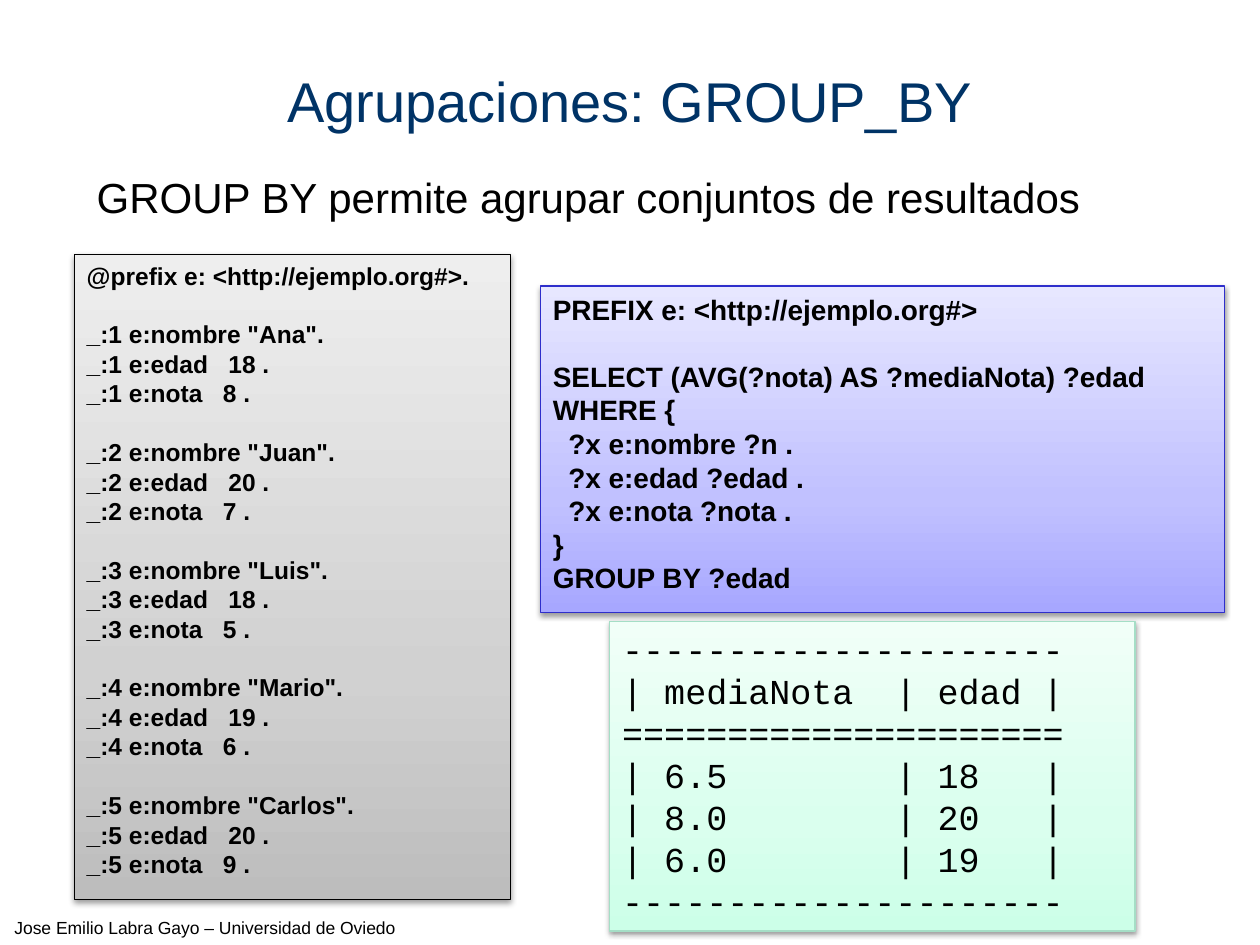
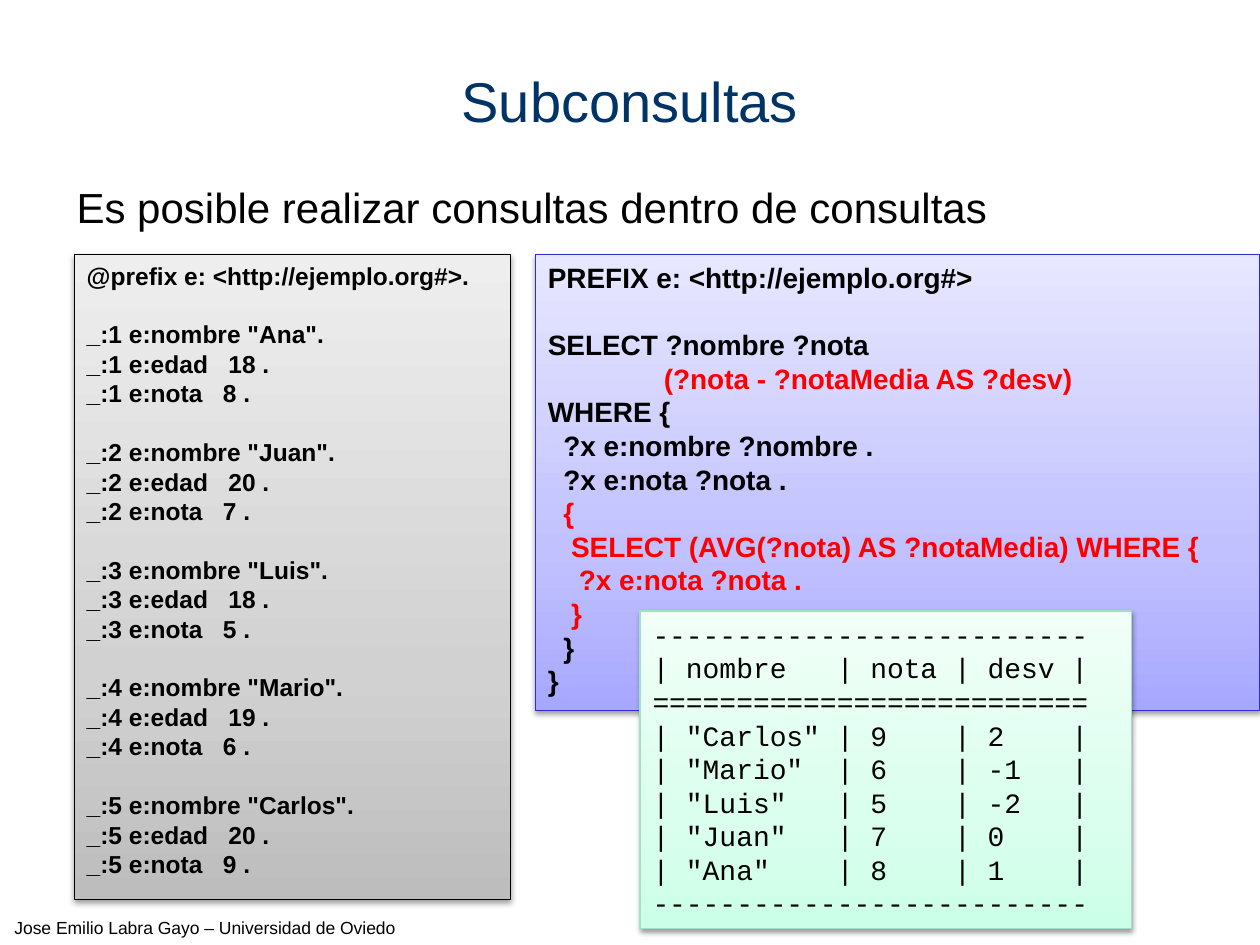
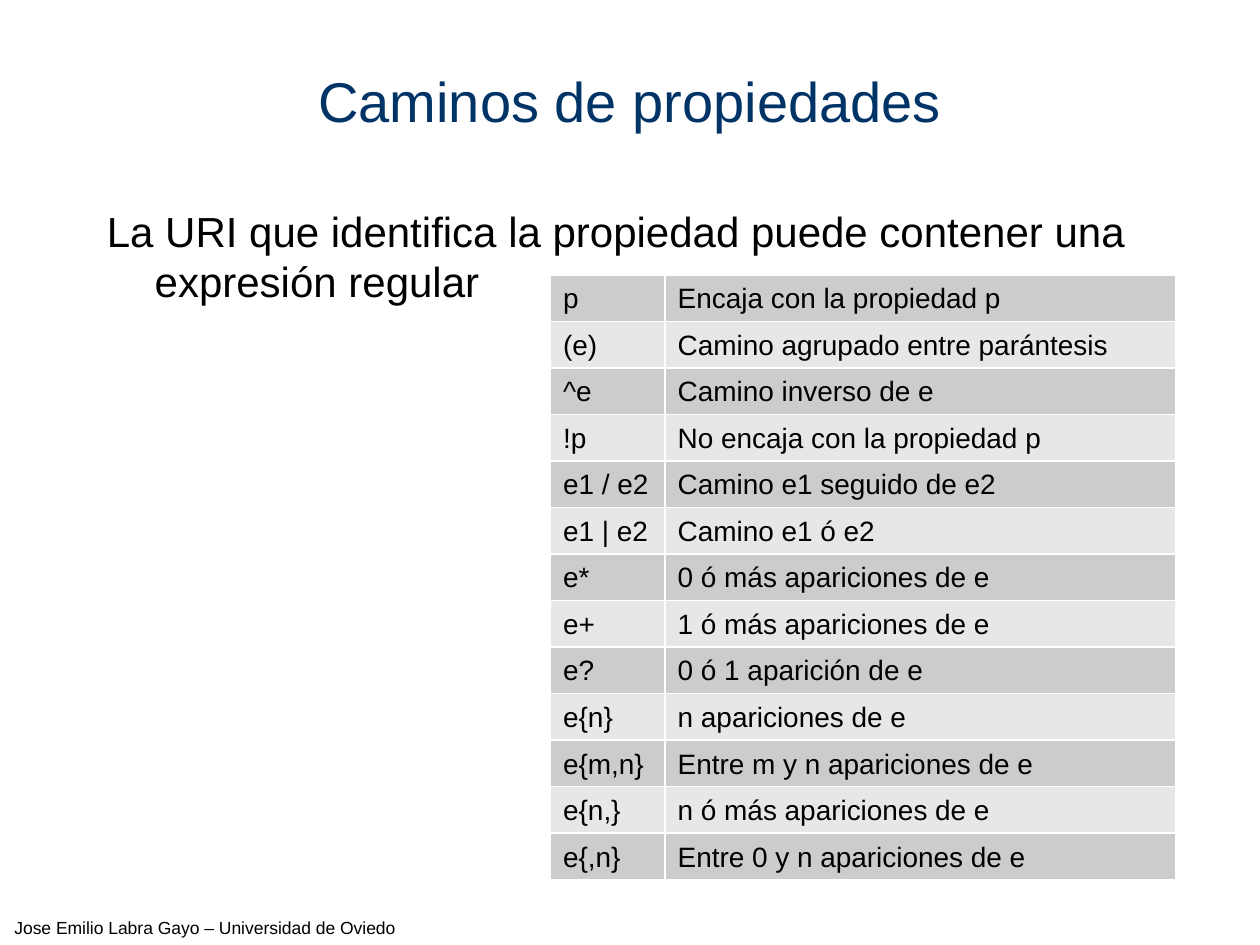
from dataclasses import dataclass

from lxml import etree
from pptx import Presentation
from pptx.dml.color import RGBColor
from pptx.enum.shapes import MSO_SHAPE
from pptx.enum.text import MSO_ANCHOR, PP_ALIGN
from pptx.oxml.ns import qn
from pptx.util import Pt

RECT = MSO_SHAPE.RECTANGLE
TOP, MIDDLE = MSO_ANCHOR.TOP, MSO_ANCHOR.MIDDLE
LEFT, CENTER = PP_ALIGN.LEFT, PP_ALIGN.CENTER


@dataclass(frozen=True)
class PanelStyle:
    stops: tuple  # gradient colours from bottom to top
    line: str
    font: str
    bold: bool


@dataclass(frozen=True)
class Theme:
    sans: str = "Arial"
    title: str = "003366"
    text: str = "000000"
    highlight: str = "FF0000"
    border: str = "FFFFFF"
    bands: tuple = ("CCCCCC", "E7E7E7")
    title_size: int = 32
    body_size: int = 24
    result_size: int = 20
    code_size: int = 16
    data_size: int = 14
    footer_size: int = 10
    leading: float = 1.2
    hanging: float = 27.36
    data: PanelStyle = PanelStyle(("BDBDBD", "D1D1D1", "EEEEEE"), "000000", "Arial", True)
    query: PanelStyle = PanelStyle(("A7A7FF", "C1C1FF", "E7E7FF"), "2E2ECB", "Arial", True)
    result: PanelStyle = PanelStyle(("CCFFE8", "DAFFEE", "F1FFF8"), "A5DEC6", "Courier New", False)


THEME = Theme()

# Content
FOOTER = "Jose Emilio Labra Gayo – Universidad de Oviedo"

PEOPLE = [("Ana", 18, 8), ("Juan", 20, 7), ("Luis", 18, 5), ("Mario", 19, 6), ("Carlos", 20, 9)]
DATA = "@prefix e: <http://ejemplo.org#>." + "".join(
    f'\n\n_:{i} e:nombre "{name}".\n_:{i} e:edad   {age} .\n_:{i} e:nota   {mark} .'
    for i, (name, age, mark) in enumerate(PEOPLE, 1))

GROUP_QUERY = """PREFIX e: <http://ejemplo.org#>

SELECT (AVG(?nota) AS ?mediaNota) ?edad
WHERE {
  ?x e:nombre ?n .
  ?x e:edad ?edad .
  ?x e:nota ?nota .
}
GROUP BY ?edad"""

GROUP_RESULT = """---------------------
| mediaNota  | edad |
=====================
| 6.5        | 18   |
| 8.0        | 20   |
| 6.0        | 19   |
---------------------"""

NESTED_QUERY = """PREFIX e: <http://ejemplo.org#>

SELECT ?nombre ?nota
               (?nota - ?notaMedia AS ?desv)
WHERE {
  ?x e:nombre ?nombre .
  ?x e:nota ?nota .
  {
   SELECT (AVG(?nota) AS ?notaMedia) WHERE {
    ?x e:nota ?nota .
   }
  }
}"""
NESTED_HIGHLIGHTS = (3, 7, 8, 9, 10)

NESTED_RESULT = """--------------------------
| nombre   | nota | desv |
==========================
| "Carlos" | 9    | 2    |
| "Mario"  | 6    | -1   |
| "Luis"   | 5    | -2   |
| "Juan"   | 7    | 0    |
| "Ana"    | 8    | 1    |
--------------------------"""

PATHS = [
    ("p", "Encaja con la propiedad p"),
    ("(e)", "Camino agrupado entre parántesis"),
    ("^e", "Camino inverso de e"),
    ("!p", "No encaja con la propiedad p"),
    ("e1 / e2", "Camino e1 seguido de e2"),
    ("e1 | e2", "Camino e1 ó e2"),
    ("e*", "0 ó más apariciones de e"),
    ("e+", "1 ó más apariciones de e"),
    ("e?", "0 ó 1 aparición de e"),
    ("e{n}", "n apariciones de e"),
    ("e{m,n}", "Entre m y n apariciones de e"),
    ("e{n,}", "n ó más apariciones de e"),
    ("e{,n}", "Entre 0 y n apariciones de e"),
]


# Helpers
def points(*values):
    return [Pt(v) for v in values]


def sub(parent, tag, **attrs):
    return etree.SubElement(parent, qn(tag), {k: str(v) for k, v in attrs.items()})


def write(p, text, size, color=THEME.text, font=THEME.sans, bold=False, align=LEFT):
    p.text = text
    p.alignment = align
    p.line_spacing = Pt(size * THEME.leading)
    p.font.name, p.font.size, p.font.bold = font, Pt(size), bold
    p.font.color.rgb = RGBColor.from_string(color)


def add_text(slide, box, text, size, color=THEME.text, align=LEFT, anchor=TOP, wrap=True):
    tf = slide.shapes.add_textbox(*points(*box)).text_frame
    tf.word_wrap = wrap
    tf.vertical_anchor = anchor
    write(tf.paragraphs[0], text, size, color, align=align)
    return tf


def add_body(slide, left, top, text):
    tf = add_text(slide, (left, top, 612, 36), text, THEME.body_size)
    pPr = tf.paragraphs[0]._p.get_or_add_pPr()
    pPr.set("marL", str(Pt(THEME.hanging)))
    pPr.set("indent", str(-Pt(THEME.hanging)))


def paint_gradient(sp, colors):
    sp.fill.gradient()
    sp.fill.gradient_angle = 90
    stops = sp._element.spPr.find(qn("a:gradFill")).find(qn("a:gsLst"))
    for stop in list(stops):
        stops.remove(stop)
    for percent, color in zip((0, 35, 100), colors):
        sub(sub(stops, "a:gs", pos=percent * 1000), "a:srgbClr", val=color)


def add_shadow(sp):
    sp.shadow.inherit = False
    effects = sp._element.spPr.find(qn("a:effectLst"))
    shadow = sub(effects, "a:outerShdw", blurRad=Pt(3.1), dist=Pt(1.6),
                 dir=90 * 60000, rotWithShape=0)
    sub(sub(shadow, "a:srgbClr", val="000000"), "a:alpha", val=38000)


def add_panel(slide, box, style, text, size, highlights=()):
    sp = slide.shapes.add_shape(RECT, *points(*box))
    paint_gradient(sp, style.stops)
    sp.line.color.rgb = RGBColor.from_string(style.line)
    sp.line.width = Pt(0.75)
    add_shadow(sp)
    tf = sp.text_frame
    tf.word_wrap = True
    tf.vertical_anchor = TOP
    after_gap = False
    for i, line in enumerate(text.splitlines()):
        if not line:
            after_gap = True
            continue
        p = tf.add_paragraph() if i else tf.paragraphs[0]
        color = THEME.highlight if i in highlights else THEME.text
        write(p, line, size, color, style.font, style.bold)
        if after_gap:
            p.space_before = Pt(size * THEME.leading)
            after_gap = False


def add_borders(cell):
    tcPr = cell._tc.get_or_add_tcPr()
    for i, side in enumerate(("a:lnL", "a:lnR", "a:lnT", "a:lnB")):
        ln = sub(tcPr, side, w=Pt(1))
        sub(sub(ln, "a:solidFill"), "a:srgbClr", val=THEME.border)
        tcPr.insert(i, ln)


def add_path_table(slide, left, top, widths, row_height):
    frame = slide.shapes.add_table(
        len(PATHS), len(widths),
        *points(left, top, sum(widths), row_height * len(PATHS)))
    table = frame.table
    table.first_row = table.horz_banding = False
    for column, width in zip(table.columns, widths):
        column.width = Pt(width)
    for r, texts in enumerate(PATHS):
        table.rows[r].height = Pt(row_height)
        for c, text in enumerate(texts):
            cell = table.cell(r, c)
            cell.fill.solid()
            cell.fill.fore_color.rgb = RGBColor.from_string(THEME.bands[r % 2])
            add_borders(cell)
            write(cell.text_frame.paragraphs[0], text, THEME.code_size)


def add_slide(prs, title):
    slide = prs.slides.add_slide(prs.slide_layouts[6])
    add_text(slide, (0, 520.5, 234, 19.4), FOOTER, THEME.footer_size, align=CENTER, wrap=False)
    add_text(slide, (0, 12.2, 720, 90), title, THEME.title_size, THEME.title, CENTER, MIDDLE)
    return slide


def add_data_panel(slide):
    add_panel(slide, (42.5, 145.4, 249.1, 368.6), THEME.data, DATA, THEME.data_size)


# Slides
def group_by_slide(prs):
    slide = add_slide(prs, "Agrupaciones: GROUP_BY")
    add_body(slide, 48.2, 94.3, "GROUP BY permite agrupar conjuntos de resultados")
    add_data_panel(slide)
    add_panel(slide, (308.9, 163.4, 391, 186.5), THEME.query, GROUP_QUERY, THEME.code_size)
    add_panel(slide, (348.5, 355, 300.2, 177.1), THEME.result, GROUP_RESULT, THEME.result_size)


def subquery_slide(prs):
    slide = add_slide(prs, "Subconsultas")
    add_body(slide, 36.7, 100, "Es posible realizar consultas dentro de consultas")
    add_data_panel(slide)
    add_panel(slide, (306, 145.4, 414, 260.6), THEME.query, NESTED_QUERY,
              THEME.code_size, NESTED_HIGHLIGHTS)
    add_panel(slide, (365.8, 349.2, 280.8, 181.4), THEME.result, NESTED_RESULT, THEME.code_size)


def property_paths_slide(prs):
    slide = add_slide(prs, "Caminos de propiedades")
    add_body(slide, 54, 113.8,
             "La URI que identifica la propiedad puede contener una expresión regular")
    add_path_table(slide, 314.6, 157, (65.5, 291.6), 26.6)


def main():
    prs = Presentation()
    prs.slide_width, prs.slide_height = Pt(720), Pt(540)
    group_by_slide(prs)
    subquery_slide(prs)
    property_paths_slide(prs)
    prs.save("out.pptx")


if __name__ == "__main__":
    main()
